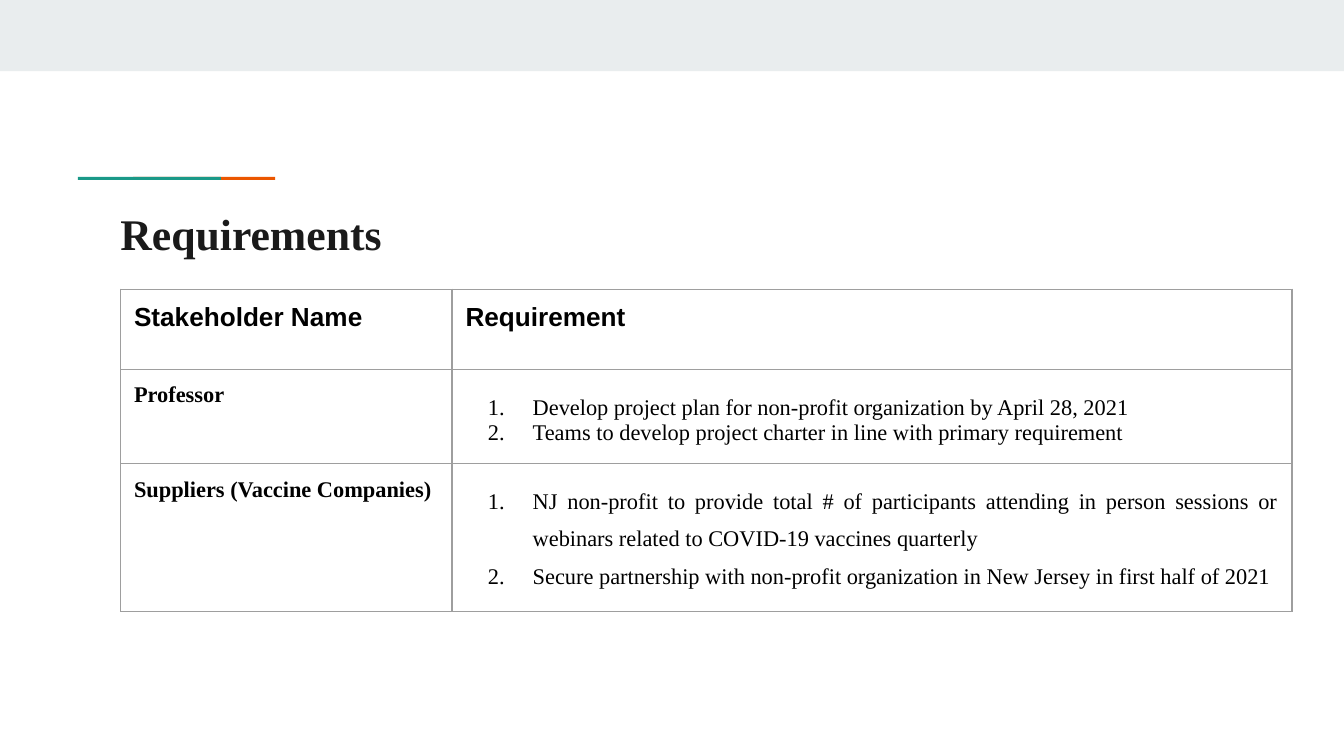
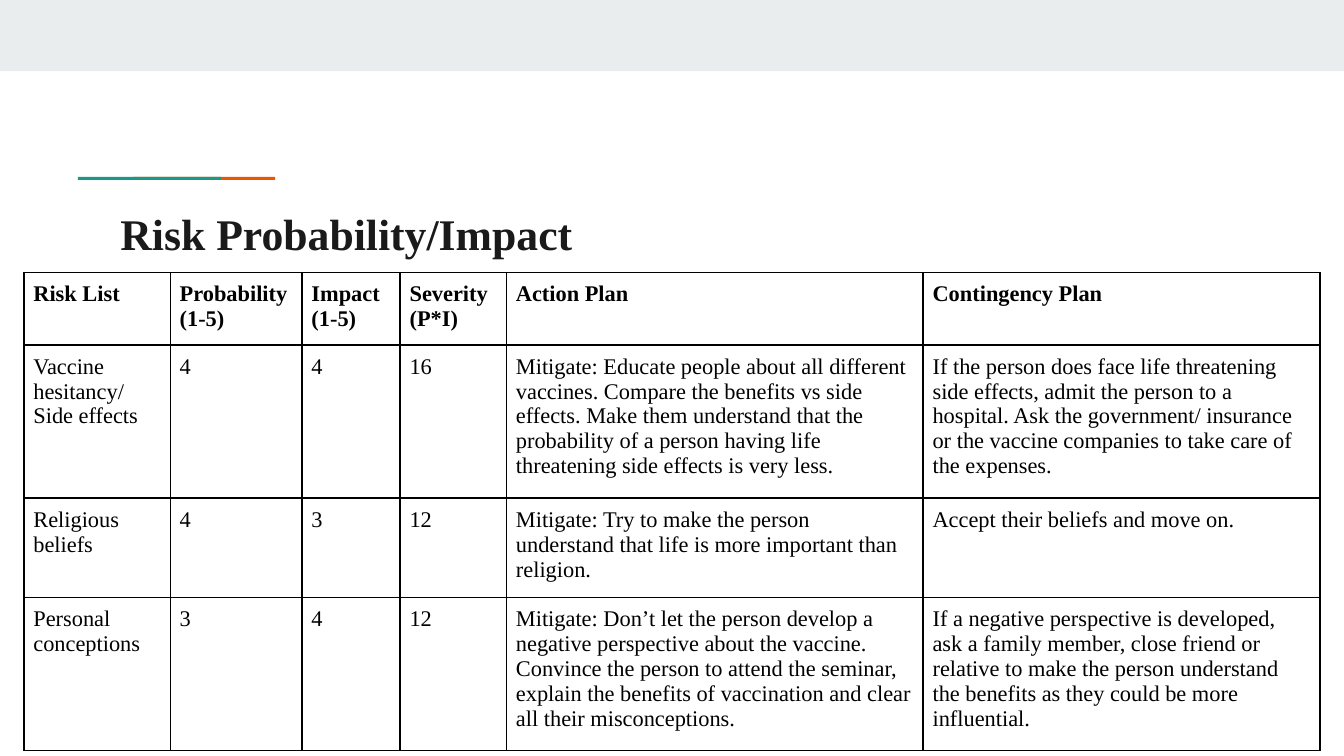
from lxml import etree
from pptx import Presentation
from pptx.dml.color import RGBColor
from pptx.enum import shapes, text
from pptx.oxml import ns
from pptx.util import Pt

# Content
SERIF, SANS = "Times New Roman", "Arial"
BLACK, TITLE_COLOR = "000000", "1A1A1A"

# Left, top, width, height, colour
BANDS = [
    (0, 0, 720, 38.2, "E9EDEE"),
    (71.3, 94.8, 76.2, 1.6, "EB5600"),
    (41.8, 94.8, 76.6, 1.6, "1A9988"),
]

# A list in a cell is numbered; each item is its text and whether it is justified
SLIDES = [
    {
        "title": "Requirements",
        "position": (64.6, 155),
        "columns": [177.6, 450],
        "rows": [43, 47.5, 74],
        "inset": 7.2,
        "border": ("9E9E9E", 0.75),
        "header": {"font": SANS, "size": 14},
        "bold_first_column": True,
        "cells": [
            ["Stakeholder Name", "Requirement"],
            ["Professor", [
                ("Develop project plan for non-profit organization by April 28, 2021", True),
                ("Teams to develop project charter in line with primary requirement", False),
            ]],
            ["Suppliers (Vaccine Companies)", [
                ("NJ non-profit to provide total # of participants attending in person "
                 "sessions or webinars related to COVID-19 vaccines quarterly", True),
                ("Secure partnership with non-profit organization in New Jersey in first "
                 "half of 2021", True),
            ]],
        ],
    },
    {
        "title": "Risk Probability/Impact",
        "position": (12.9, 146),
        "columns": [78.4, 70.6, 52.6, 57, 223.2, 212.4],
        "rows": [36.7, 76.6, 49.8, 76.6],
        "inset": 5,
        "border": (BLACK, 1),
        "header": {"font": SERIF, "size": 12},
        "bold_first_column": False,
        "cells": [
            ["Risk List", "Probability (1-5)", "Impact (1-5)", "Severity (P*I)",
             "Action Plan", "Contingency Plan"],
            ["Vaccine hesitancy/ Side effects", "4", "4", "16",
             "Mitigate: Educate people about all different vaccines. Compare the benefits "
             "vs side effects. Make them understand that the probability of a person "
             "having life threatening side effects is very less.",
             "If the person does face life threatening side effects, admit the person to a "
             "hospital. Ask the government/ insurance or the vaccine companies to take "
             "care of the expenses."],
            ["Religious beliefs", "4", "3", "12",
             "Mitigate: Try to make the person understand that life is more important "
             "than religion.",
             "Accept their beliefs and move on."],
            ["Personal conceptions", "3", "4", "12",
             "Mitigate: Don’t let the person develop a negative perspective about the "
             "vaccine. Convince the person to attend the seminar, explain the benefits of "
             "vaccination and clear all their misconceptions.",
             "If a negative perspective is developed, ask a family member, close friend or "
             "relative to make the person understand the benefits as they could be more "
             "influential."],
        ],
    },
]


def color(value):
    return RGBColor.from_string(value)


def add_element(parent, tag, **attributes):
    return etree.SubElement(parent, ns.qn(tag), attributes)


def number_paragraph(paragraph, justified):
    properties = paragraph._p.get_or_add_pPr()
    properties.set("marL", str(Pt(36)))
    properties.set("indent", str(Pt(-24)))
    if justified:
        paragraph.alignment = text.PP_ALIGN.JUSTIFY
        paragraph.line_spacing = 1.5
    add_element(add_element(properties, "a:buClr"), "a:srgbClr", val=BLACK)
    add_element(properties, "a:buAutoNum", type="arabicPeriod")


def write(frame, content, font=SERIF, size=12, fill=BLACK, bold=False):
    numbered = isinstance(content, list)
    items = content if numbered else [(content, False)]
    for index, (words, justified) in enumerate(items):
        paragraph = frame.add_paragraph() if index else frame.paragraphs[0]
        if numbered:
            number_paragraph(paragraph, justified)
        run = paragraph.add_run()
        run.text = words
        run.font.name, run.font.size, run.font.bold = font, Pt(size), bold
        run.font.color.rgb = color(fill)


def set_insets(holder, inset):
    holder.margin_left = holder.margin_right = Pt(inset)
    holder.margin_top = holder.margin_bottom = Pt(inset)


def add_frame(slide, title):
    # Top band and two-colour rule
    for left, top, width, height, fill in BANDS:
        shape = slide.shapes.add_shape(
            shapes.MSO_SHAPE.RECTANGLE, Pt(left), Pt(top), Pt(width), Pt(height))
        shape.shadow.inherit = False
        shape.fill.solid()
        shape.fill.fore_color.rgb = color(fill)
        shape.line.fill.background()
    # Title
    frame = slide.shapes.add_textbox(Pt(57.4), Pt(103.7), Pt(605.5), Pt(42.5)).text_frame
    frame.word_wrap = True
    frame.vertical_anchor = text.MSO_ANCHOR.BOTTOM
    set_insets(frame, 7.2)
    write(frame, title, size=23.4, fill=TITLE_COLOR, bold=True)


def style_cell(cell, inset, border):
    set_insets(cell, inset)
    line_color, line_width = border
    properties = cell._tc.get_or_add_tcPr()
    for side in "LRTB":
        line = add_element(properties, f"a:ln{side}", w=str(Pt(line_width)))
        add_element(add_element(line, "a:solidFill"), "a:srgbClr", val=line_color)
    cell.fill.background()


def add_grid(slide, content):
    columns, rows = content["columns"], content["rows"]
    left, top = content["position"]
    table = slide.shapes.add_table(
        len(rows), len(columns), Pt(left), Pt(top), Pt(sum(columns)), Pt(sum(rows))).table
    table.first_row = table.horz_banding = False
    for column, width in zip(table.columns, columns):
        column.width = Pt(width)
    for row, height in zip(table.rows, rows):
        row.height = Pt(height)
    for row_index, values in enumerate(content["cells"]):
        for column_index, value in enumerate(values):
            cell = table.cell(row_index, column_index)
            style_cell(cell, content["inset"], content["border"])
            is_header = row_index == 0
            bold = is_header or (content["bold_first_column"] and column_index == 0)
            write(cell.text_frame, value, bold=bold, **(content["header"] if is_header else {}))


def main():
    presentation = Presentation()
    presentation.slide_width, presentation.slide_height = Pt(720), Pt(405)
    for content in SLIDES:
        slide = presentation.slides.add_slide(presentation.slide_layouts[6])
        add_frame(slide, content["title"])
        add_grid(slide, content)
    presentation.save("out.pptx")


if __name__ == "__main__":
    main()
